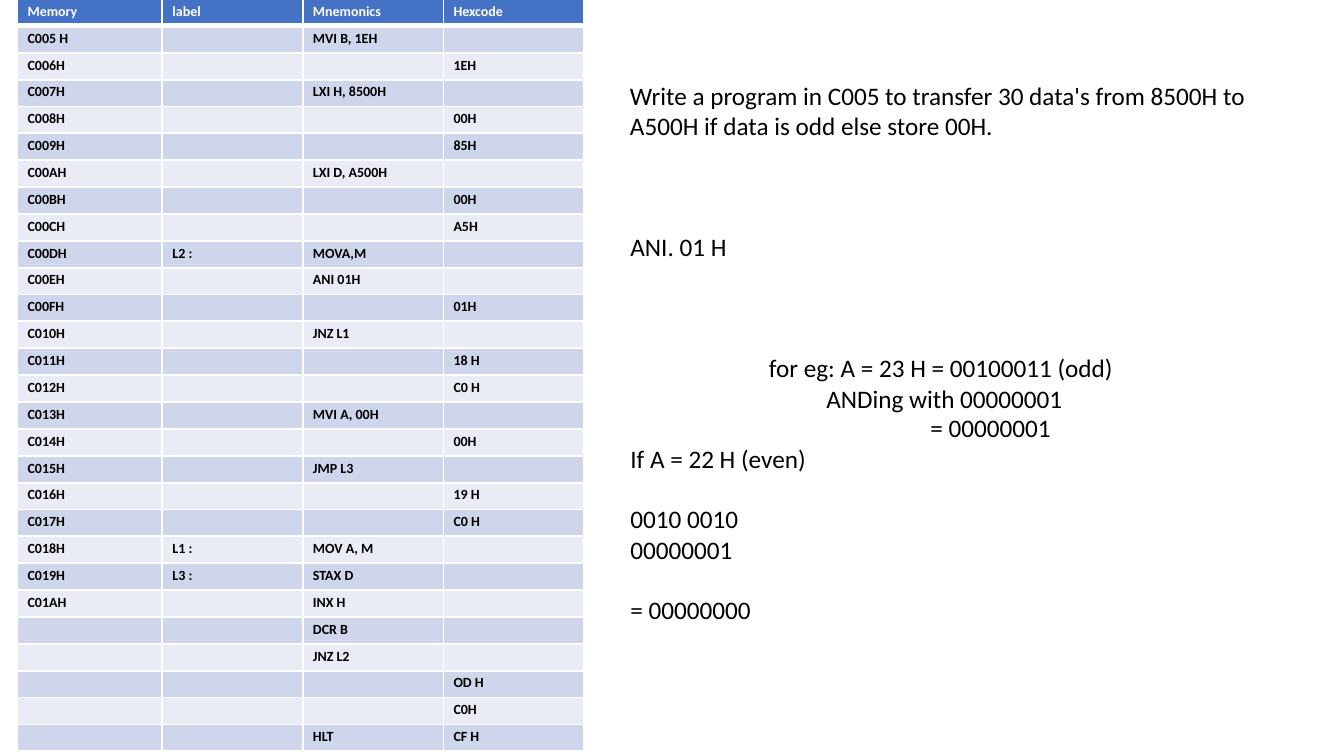
from lxml.etree import SubElement
from pptx import Presentation
from pptx.dml.color import RGBColor as RGB
from pptx.oxml.ns import qn
from pptx.util import Pt

WHITE = RGB(0xFF, 0xFF, 0xFF)
BLACK = RGB(0x00, 0x00, 0x00)
HEADER_BLUE = RGB(0x44, 0x72, 0xC4)
BAND_DARK = RGB(0xCF, 0xD5, 0xEA)
BAND_LIGHT = RGB(0xE9, 0xEB, 0xF5)
FONT = "Calibri"

COLUMN_WIDTHS = (103.5, 100.4, 100.4, 100.4)
ROW_HEIGHT = 19.2
THIN, THICK = 1.5, 4.25

PROGRAM = [
    ("Memory", "label", "Mnemonics", "Hexcode"),
    ("C005 H", "", "MVI B, 1EH", ""),
    ("C006H", "", "", "1EH"),
    ("C007H", "", "LXI H, 8500H", ""),
    ("C008H", "", "", "00H"),
    ("C009H", "", "", "85H"),
    ("C00AH", "", "LXI D, A500H", ""),
    ("C00BH", "", "", "00H"),
    ("C00CH", "", "", "A5H"),
    ("C00DH", "L2 :", "MOVA,M", ""),
    ("C00EH", "", "ANI 01H", ""),
    ("C00FH", "", "", "01H"),
    ("C010H", "", "JNZ L1", ""),
    ("C011H", "", "", "18 H"),
    ("C012H", "", "", "C0 H"),
    ("C013H", "", "MVI A, 00H", ""),
    ("C014H", "", "", "00H"),
    ("C015H", "", "JMP L3", ""),
    ("C016H", "", "", "19 H"),
    ("C017H", "", "", "C0 H"),
    ("C018H", "L1 :", "MOV A, M", ""),
    ("C019H", "L3 :", "STAX D", ""),
    ("C01AH", "", "INX H", ""),
    ("", "", "DCR B", ""),
    ("", "", "JNZ L2", ""),
    ("", "", "", "OD H"),
    ("", "", "", "C0H"),
    ("", "", "HLT", "CF H"),
]

# Text, left margin, first-line indent, space before, line spacing
TASK = [("Write a program in C005 to transfer 30 data's from 8500H to "
         "A500H if data is odd else store 00H.", 384.5, 0, 2.1, Pt(21.1))]
INSTRUCTION = [("ANI. 01 H", 1, 0, 1, 1.0)]
EXAMPLE = [
    ("for eg: A = 23 H = 00100011 (odd) ANDing with 00000001",
     141, -41, 0.8, 1.01),
    ("= 00000001", 215.3, 0, 0, Pt(21.1)),
    ("If A = 22 H (even)", 1, 0, 0.5, 1.0),
    ("0010 0010", 1, 0, 21.4, 1.0),
    ("00000001", 1, 0, 0.2, 1.0),
    ("= 00000000", 1, 0, 21.6, 1.0),
]


def set_indent(p, left, first=0):
    pPr = p._p.get_or_add_pPr()
    pPr.set("marL", str(Pt(left)))
    pPr.set("indent", str(Pt(first)))


def style_run(r, size, color, bold=False):
    r.font.name = FONT
    r.font.size = Pt(size)
    r.font.bold = bold
    r.font.color.rgb = color


def set_borders(cell, top, bottom):
    tcPr = cell._tc.get_or_add_tcPr()
    for side, width in (("L", THIN), ("R", THIN), ("T", top), ("B", bottom)):
        ln = SubElement(tcPr, qn(f"a:ln{side}"), w=str(Pt(width)))
        fill = SubElement(ln, qn("a:solidFill"))
        SubElement(fill, qn("a:srgbClr"), val=str(WHITE))


def fill_cell(cell, text, fill, color):
    cell.margin_left = cell.margin_right = cell.margin_bottom = 0
    cell.margin_top = Pt(2.9)
    cell.fill.solid()
    cell.fill.fore_color.rgb = fill
    cell.text = text
    p = cell.text_frame.paragraphs[0]
    p.space_before = Pt(2.7)
    set_indent(p, 7.2)
    for r in p.runs:
        style_run(r, 10, color, bold=True)
    if not text:  # keeps empty cells from stretching their row
        SubElement(p._p, qn("a:endParaRPr"), sz="1000")


def add_program_table(slide):
    table = slide.shapes.add_table(
        len(PROGRAM), len(COLUMN_WIDTHS), Pt(12.5), Pt(-0.7),
        Pt(sum(COLUMN_WIDTHS)), Pt(ROW_HEIGHT * len(PROGRAM))).table
    table.first_row = table.horz_banding = False
    for column, width in zip(table.columns, COLUMN_WIDTHS):
        column.width = Pt(width)
    for i, row in enumerate(PROGRAM):
        table.rows[i].height = Pt(ROW_HEIGHT)
        band = BAND_DARK if i % 2 else BAND_LIGHT
        fill, color = (band, BLACK) if i else (HEADER_BLUE, WHITE)
        for j, text in enumerate(row):
            cell = table.cell(i, j)
            set_borders(cell, THICK if i == 1 else THIN,
                        THIN if i else THICK)
            fill_cell(cell, text, fill, color)


def add_text(slide, left, top, width, height, paragraphs, inset):
    tf = slide.shapes.add_textbox(
        Pt(left), Pt(top), Pt(width), Pt(height)).text_frame
    tf.word_wrap = True
    tf.margin_left = tf.margin_right = tf.margin_bottom = 0
    tf.margin_top = Pt(inset)
    tf.text = "\n".join(text for text, *_ in paragraphs)
    for p, (_, margin, first, before, spacing) in zip(tf.paragraphs, paragraphs):
        set_indent(p, margin, first)
        p.space_before = Pt(before)
        p.line_spacing = spacing
        style_run(p.runs[0], 18, BLACK)


def main():
    prs = Presentation()
    prs.slide_width, prs.slide_height = Pt(960), Pt(540)
    slide = prs.slides.add_slide(prs.slide_layouts[6])

    # Assembly listing
    add_program_table(slide)

    # Task and worked example
    add_text(slide, 65.5, 48.2, 829.4, 54, TASK, 10)
    add_text(slide, 449.3, 164.2, 70.6, 23.8, INSTRUCTION, 1)
    add_text(slide, 449.3, 250.6, 355.7, 196.6, EXAMPLE, 1)

    prs.save("out.pptx")


if __name__ == "__main__":
    main()
